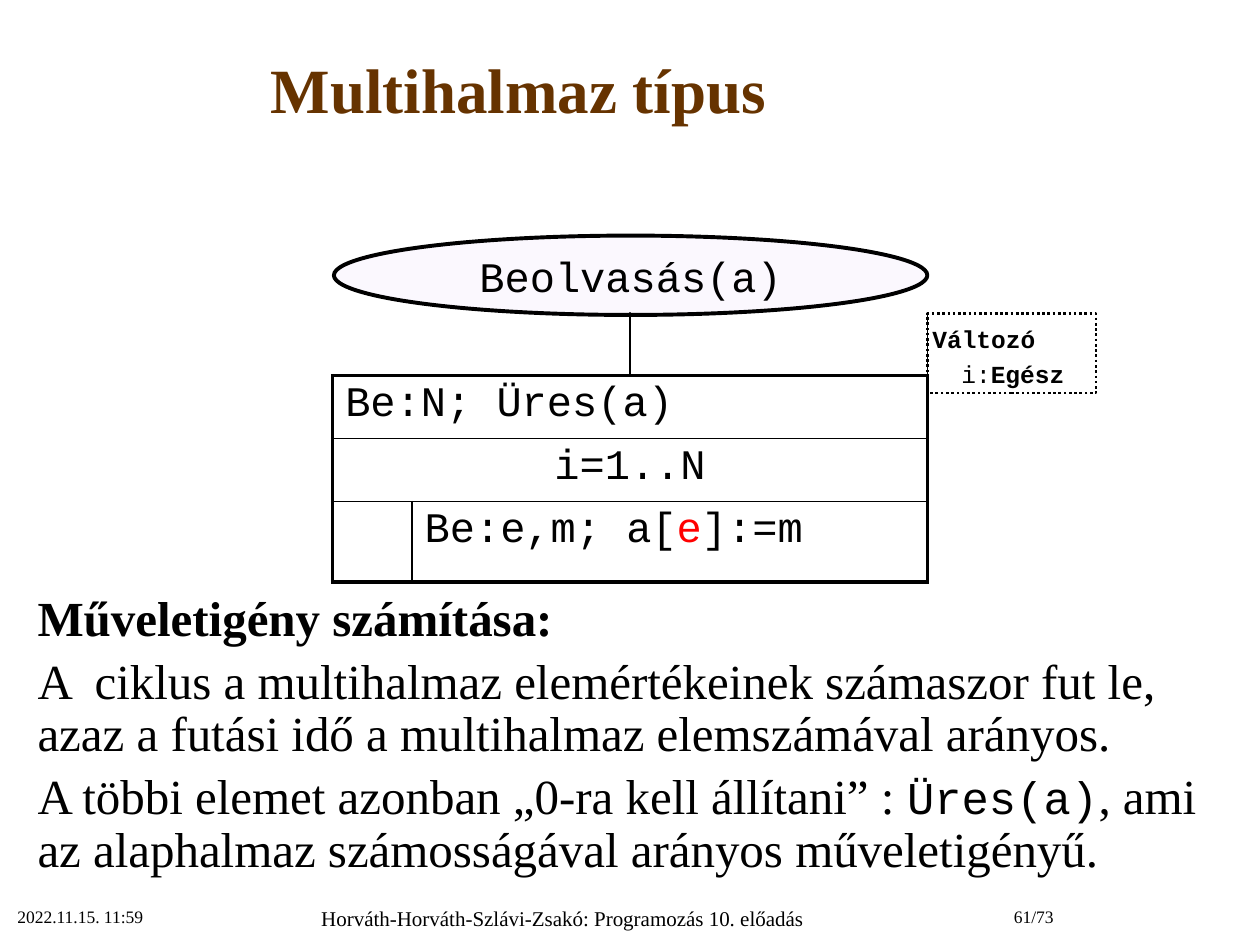
from pptx import Presentation
from pptx.dml.color import RGBColor
from pptx.enum.dml import MSO_LINE
from pptx.enum.shapes import MSO_SHAPE as SHAPE
from pptx.enum.text import MSO_ANCHOR as ANCHOR, PP_ALIGN as ALIGN
from pptx.oxml.ns import qn
from pptx.util import Inches, Pt
from lxml.etree import SubElement

BLACK = RGBColor(0x00, 0x00, 0x00)
BROWN = RGBColor(0x66, 0x33, 0x00)
RED = RGBColor(0xFF, 0x00, 0x00)
LILAC = RGBColor(0xF3, 0xE8, 0xFE)
SERIF, MONO = "Times New Roman", "Courier New"
THIN, THICK = 1, 2.25

prs = Presentation()
prs.slide_width, prs.slide_height = Inches(10), Inches(7.5)
slide = prs.slides.add_slide(prs.slide_layouts[6])
shapes = slide.shapes
UNIT = prs.slide_width // 100  # the slide is a grid of 100 columns by 75 rows


def grid(*cells):
    return [round(n * UNIT) for n in cells]


def write(frame, paragraphs, base, **layout):
    """Each paragraph is (runs, paragraph format); each run is (text, font format)."""
    for i, (runs, para_format) in enumerate(paragraphs):
        para = frame.paragraphs[0] if i == 0 else frame.add_paragraph()
        for key, value in {**layout, **para_format}.items():
            setattr(para, key, value)
        for text, changes in runs:
            run = para.add_run()
            run.text = text
            look = {"name": SERIF, "color": BLACK, **base, **changes}
            run.font.color.rgb = look.pop("color")
            for key, value in look.items():
                setattr(run.font, key, value)


# Title, body and footer texts
big = {"size": Pt(28)}
small = {"size": Pt(10)}
tight = {"line_spacing": Pt(30), "space_before": Pt(6)}
body = [
    ([("Műveletigény számítása:", {"bold": True})], {}),
    ([("A  ciklus a multihalmaz elemértékeinek számaszor fut le, azaz a futási idő "
       "a multihalmaz elemszámával arányos.", {})], tight),
    ([("A többi elemet azonban „0-ra kell állítani” : ", {}),
      ("Üres(a)", {"name": MONO, "size": Pt(26)}),
      (", ami az alaphalmaz számosságával arányos műveletigényű.", {})], tight),
]
texts = [
    ((0, 0.9, 82.3, 12.2), [([("Multihalmaz típus", {})], {})],
     {"size": Pt(36), "bold": True, "color": BROWN}, ALIGN.CENTER, ANCHOR.MIDDLE, 0.5),
    ((2, 15.5, 98, 55.9), body, big, ALIGN.LEFT, ANCHOR.BOTTOM, 1.8),
    ((0.4, 71.4, 20.8, 3.9), [([("2022.11.15. 11:59", {})], {})],
     small, ALIGN.LEFT, ANCHOR.TOP, 0.5),
    ((21.2, 71.4, 46.9, 3.6),
     [([("Horváth-Horváth-Szlávi-Zsakó: Programozás 10. előadás", {})], {})],
     {"size": Pt(12)}, ALIGN.CENTER, ANCHOR.TOP, 0.5),
    ((71.9, 71.4, 12.7, 3.9), [([("61/73", {})], {})],
     small, ALIGN.RIGHT, ANCHOR.TOP, 0.5),
]
for place, paragraphs, base, align, anchor, bottom in texts:
    frame = shapes.add_textbox(*grid(*place)).text_frame
    frame.word_wrap = True
    frame.vertical_anchor = anchor
    frame.margin_bottom = grid(bottom)[0]
    write(frame, paragraphs, base, alignment=align)

# Structure chart of the algorithm
code = {"name": MONO, "size": Pt(24)}
columns, rows = (6.3, 17.3, 23.6), (5, 5, 5, 6.4)
chart = shapes.add_table(len(rows), len(columns),
                         *grid(26.4, 24.8, sum(columns), sum(rows))).table
chart.first_row = chart.horz_banding = False
chart._tbl.tblPr.find(qn("a:tableStyleId")).text = "{2D5ABB26-0587-4C30-8999-92F81FD0307C}"
for column, width in zip(chart.columns, grid(*columns)):
    column.width = width
for row, height in zip(chart.rows, grid(*rows)):
    row.height = height

# (row, first column, last column, runs, alignment, borders)
blocks = [
    (0, 0, 1, [], ALIGN.LEFT, {"R": THIN, "B": THICK}),
    (0, 2, 2, [], ALIGN.LEFT, {"L": THIN, "B": THICK}),
    (1, 0, 2, [("Be:N; Üres(a)", {})], ALIGN.LEFT,
     {"L": THICK, "R": THICK, "T": THICK, "B": THIN}),
    (2, 0, 2, [("i=1..N", {})], ALIGN.CENTER, {"L": THICK, "R": THICK, "T": THIN}),
    (3, 0, 0, [], ALIGN.LEFT, {"L": THICK, "R": THIN, "B": THICK}),
    (3, 1, 2, [("Be:e,m; a[", {}), ("e", {"color": RED}), ("]:=m", {})], ALIGN.LEFT,
     {"L": THIN, "R": THICK, "T": THIN, "B": THICK}),
]
for row, first, last, runs, align, borders in blocks:
    origin = chart.cell(row, first)
    if last > first:
        origin.merge(chart.cell(row, last))
    write(origin.text_frame, [(runs, {})], code, alignment=align)
    for col in range(first, last + 1):
        cell = chart.cell(row, col)
        props = cell._tc.get_or_add_tcPr()
        for side in "LRTB":
            inner = side == "L" and col > first or side == "R" and first < col < last
            if side in borders and not inner:
                edge = SubElement(props, qn(f"a:ln{side}"), w=str(Pt(borders[side])))
                SubElement(SubElement(edge, qn("a:solidFill")), qn("a:srgbClr"), val=str(BLACK))
        cell.fill.background()

# Start of the procedure
start = shapes.add_shape(SHAPE.OVAL, *grid(26.5, 18.7, 47.1, 6.3))
start.fill.solid()
start.fill.fore_color.rgb = LILAC
tint = start.fill._xPr.find(qn("a:solidFill")).find(qn("a:srgbClr"))
SubElement(tint, qn("a:alpha"), val="30000")
start.text_frame.word_wrap = False
start.text_frame.vertical_anchor = ANCHOR.MIDDLE
write(start.text_frame, [([("Beolvasás(a)", {})], {})], code,
      alignment=ALIGN.CENTER, space_before=Pt(4.8))

# Local variables
variables = shapes.add_shape(SHAPE.RECTANGLE, *grid(73.6, 24.9, 13.4, 6.3))
variables.fill.background()
variables.line.dash_style = MSO_LINE.ROUND_DOT
frame = variables.text_frame
frame.word_wrap = True
frame.vertical_anchor = ANCHOR.TOP
frame.margin_left, frame.margin_top, frame.margin_right, frame.margin_bottom = grid(0.4, 0.4, 0, 0.4)
write(frame, [([("Változó", {"bold": True})], {"space_before": Pt(2.8)}),
              ([("i:", {}), ("Egész", {"bold": True})], {})],
      {"name": MONO, "size": Pt(14)}, alignment=ALIGN.LEFT, line_spacing=Pt(20))
frame.paragraphs[1]._p.get_or_add_pPr().set("marL", str(grid(2.3)[0]))

for outlined, weight in ((start, THICK), (variables, 1.5)):
    outlined.shadow.inherit = False
    outlined.line.color.rgb = BLACK
    outlined.line.width = Pt(weight)

prs.save("out.pptx")
